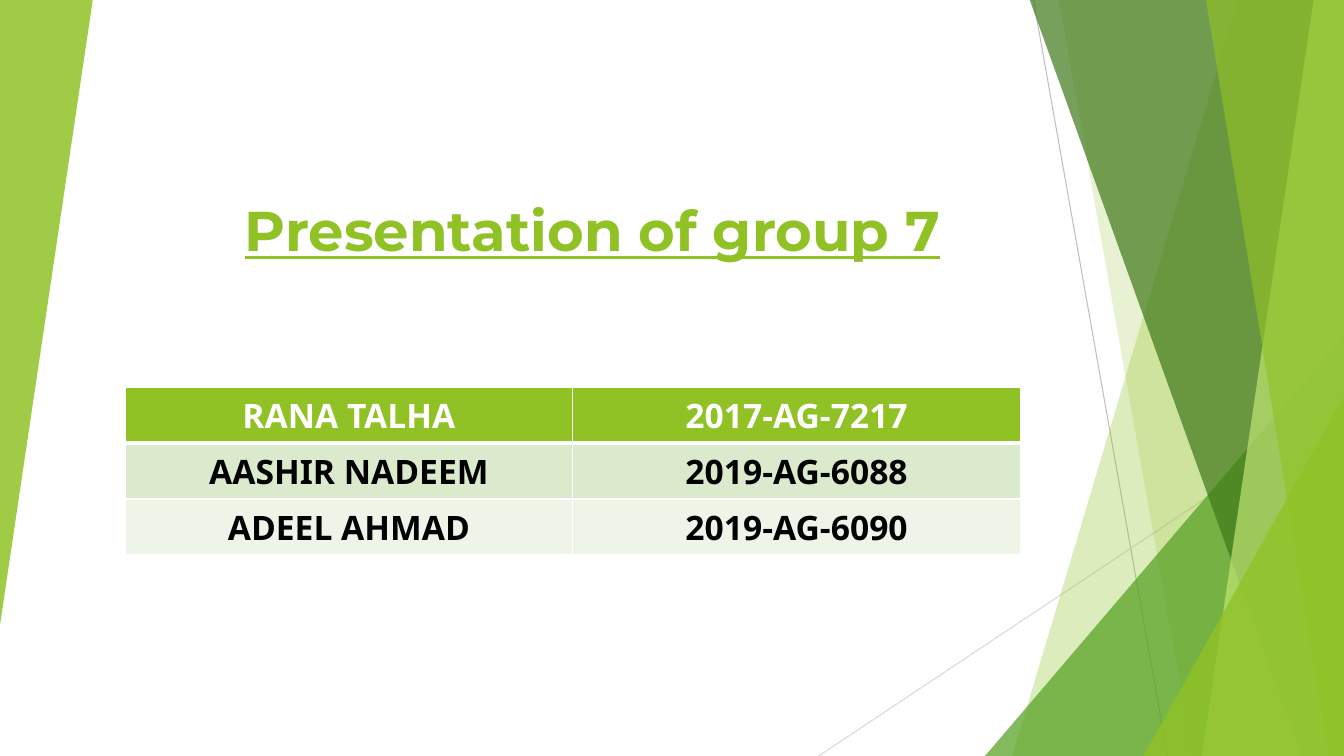
from lxml.etree import SubElement
from pptx import Presentation
from pptx.dml.color import RGBColor
from pptx.enum.shapes import MSO_CONNECTOR, MSO_SHAPE
from pptx.enum.text import MSO_ANCHOR, PP_ALIGN
from pptx.oxml.ns import qn
from pptx.util import Inches, Pt

COLORS = {
    "white": "FFFFFF", "black": "000000", "lime": "90C226", "green": "54A021",
    "forest": "3F7819", "pale_lime": "C0E474", "band_dark": "DBE9CD",
    "band_light": "EEF4E8", "gray": "BFBFBF", "light_gray": "D9D9D9",
}
WIDTH, HEIGHT = 13.33, 7.5
TOP = -0.01  # bands start just above the slide edge
MEMBERS = [
    ("RANA TALHA", "2017-AG-7217"),
    ("AASHIR NADEEM", "2019-AG-6088"),
    ("ADEEL AHMAD", "2019-AG-6090"),
]
# Fill and text colour of each table row
ROW_STYLES = [("lime", "white"), ("band_dark", "black"), ("band_light", "black")]


def color(name):
    return RGBColor.from_string(COLORS[name])


def write(frame, text, *, font, size, fill, underline=False, anchor=MSO_ANCHOR.TOP):
    """Put one bold, centred line of text into a frame."""
    frame.word_wrap = True
    frame.vertical_anchor = anchor
    para = frame.paragraphs[0]
    para.alignment = PP_ALIGN.CENTER
    span = para.add_run()
    span.text = text
    span.font.name, span.font.size = font, Pt(size)
    span.font.bold, span.font.underline = True, underline
    span.font.color.rgb = color(fill)


def paint(shape, fill, opacity):
    """Give a shape a see-through fill, no line and no shadow."""
    shape.shadow.inherit = False
    shape.line.fill.background()
    shape.fill.solid()
    shape.fill.fore_color.rgb = color(fill)
    tint = shape.fill._xPr.find(qn("a:solidFill"))[0]
    SubElement(tint, qn("a:alpha"), val=str(opacity * 1000))


def add_line(page, start, end, fill):
    points = [Inches(value) for value in (*start, *end)]
    line = page.shapes.add_connector(MSO_CONNECTOR.STRAIGHT, *points)
    line.line.color.rgb = color(fill)
    line.line.width = Pt(0.75)
    SubElement(line._element.spPr, qn("a:effectLst"))


def add_band(page, top_x, bottom_x, fill, opacity):
    """A slanted band reaching from its left edge to the slide's right edge."""
    corners = [(top_x, TOP), (WIDTH, TOP), (WIDTH, HEIGHT), (bottom_x, HEIGHT)]
    start, *others = [(Inches(x), Inches(y)) for x, y in corners]
    outline = page.shapes.build_freeform(*start, scale=1.0)
    outline.add_line_segments(others, close=True)
    paint(outline.convert_to_shape(), fill, opacity)


def add_wedge(page, left, top, width, height, fill, opacity, rotation=0):
    """A right-angled triangle with its tip above the right corner."""
    box = [Inches(value) for value in (left, top, width, height)]
    wedge = page.shapes.add_shape(MSO_SHAPE.ISOSCELES_TRIANGLE, *box)
    wedge.adjustments[0] = 1
    wedge.rotation = rotation
    paint(wedge, fill, opacity)


def add_border(cell, side, width):
    border = SubElement(cell._tc.get_or_add_tcPr(), qn(f"a:{side}"), w=str(Pt(width)))
    solid = SubElement(border, qn("a:solidFill"))
    SubElement(solid, qn("a:srgbClr"), val=COLORS["white"])


def add_members(page):
    table = page.shapes.add_table(
        len(MEMBERS), 2, Inches(1.24), Inches(3.84), Inches(8.88), Inches(1.23)).table
    for row, (member, (fill, ink)) in enumerate(zip(MEMBERS, ROW_STYLES)):
        for column, text in enumerate(member):
            cell = table.cell(row, column)
            # The line under the header row is thicker
            top, bottom = (3 if row == 1 else 1), (3 if row == 0 else 1)
            for side, width in (("lnL", 1), ("lnR", 1), ("lnT", top), ("lnB", bottom)):
                add_border(cell, side, width)
            cell.fill.solid()
            cell.fill.fore_color.rgb = color(fill)
            write(cell.text_frame, text, font="Noto Sans", size=24, fill=ink)


def add_decoration(page):
    add_line(page, (10.25, 0), (11.58, HEIGHT), "gray")
    add_line(page, (WIDTH, 4.03), (8.12, HEIGHT), "light_gray")
    add_band(page, 12.28, 10.04, "lime", 30)
    add_band(page, 10.5, 11.83, "lime", 20)
    add_wedge(page, 9.77, 3.33, 3.56, 4.17, "green", 72)
    add_band(page, 10.21, 12.91, "forest", 70)
    add_band(page, 13.03, 11.92, "pale_lime", 70)
    add_band(page, 11.96, 13.18, "lime", 65)
    add_wedge(page, 11.34, 3.93, 1.99, 3.57, "lime", 80)
    add_wedge(page, 0, 0, 0.92, 6.2, "lime", 85, rotation=180)


def add_title(page, text):
    title = page.shapes.title
    title.left, title.top = Inches(1.63), Inches(0.86)
    title.width, title.height = Inches(8.49), Inches(1.8)
    write(title.text_frame, text, font="Montserrat", size=40, fill="lime",
          underline=True, anchor=MSO_ANCHOR.BOTTOM)


def main():
    deck = Presentation()
    deck.slide_width, deck.slide_height = Inches(WIDTH), Inches(HEIGHT)
    page = deck.slides.add_slide(deck.slide_layouts[5])
    add_decoration(page)
    add_title(page, "Presentation of group 7")
    add_members(page)
    deck.save("out.pptx")


main()
